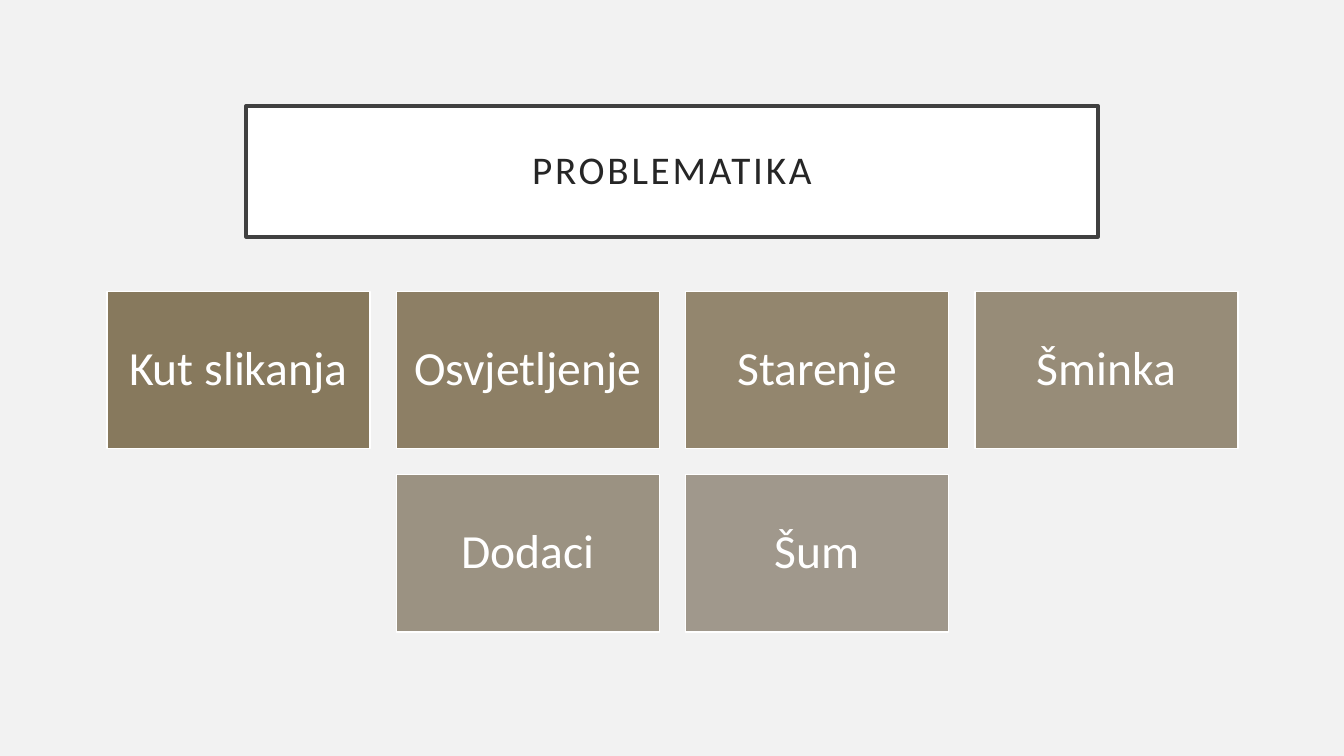
from pptx import Presentation
from pptx.dml.color import RGBColor
from pptx.enum.shapes import MSO_SHAPE
from pptx.enum.text import MSO_ANCHOR, PP_ALIGN
from pptx.util import Inches, Pt

BACKGROUND = RGBColor(0xF2, 0xF2, 0xF2)
WHITE = RGBColor(0xFF, 0xFF, 0xFF)
FRAME = RGBColor(0x40, 0x40, 0x40)
INK = RGBColor(0x26, 0x26, 0x26)
BROWNS = [
    RGBColor(0x87, 0x79, 0x5D),
    RGBColor(0x8D, 0x7F, 0x65),
    RGBColor(0x93, 0x86, 0x6E),
    RGBColor(0x97, 0x8C, 0x78),
    RGBColor(0x9B, 0x92, 0x82),
    RGBColor(0xA0, 0x98, 0x8C),
]
TOPICS = ["Kut slikanja", "Osvjetljenje", "Starenje", "Šminka", "Dodaci", "Šum"]
COLUMNS = 4


class SlideBuilder:
    font = "Calibri"
    grid_left, grid_top = 1.06, 2.89
    column_step, row_step = 2.87, 1.82
    tile_width, tile_height = 2.61, 1.56

    def __init__(self, prs):
        self.slide = prs.slides.add_slide(prs.slide_layouts[6])
        fill = self.slide.background.fill
        fill.solid()
        fill.fore_color.rgb = BACKGROUND

    def box(self, text, place, fill, line, line_width, size, color, inset, spacing=0):
        sp = self.slide.shapes.add_shape(MSO_SHAPE.RECTANGLE, *map(Inches, place))
        sp.shadow.inherit = False
        sp.fill.solid()
        sp.fill.fore_color.rgb = fill
        sp.line.color.rgb = line
        sp.line.width = Pt(line_width)
        tf = sp.text_frame
        margins = dict.fromkeys(
            ("margin_left", "margin_top", "margin_right", "margin_bottom"), Inches(inset)
        )
        frame_format = {"word_wrap": True, "vertical_anchor": MSO_ANCHOR.MIDDLE, **margins}
        p = tf.paragraphs[0]
        r = p.add_run()
        r.text = text
        r.font.color.rgb = color
        for target, values in (
            (tf, frame_format),
            (p, {"alignment": PP_ALIGN.CENTER, "line_spacing": 0.9}),
            (r.font, {"name": self.font, "size": Pt(size)}),
        ):
            for name, value in values.items():
                setattr(target, name, value)
        if spacing:
            r.font._element.set("spc", str(spacing * 100))

    def title(self, text):
        self.box(text, (2.44, 1.05, 8.45, 1.3), WHITE, FRAME, 2.5, 28, INK, 0.2, spacing=2)

    def tile(self, text, column, row, fill):
        place = (
            self.grid_left + column * self.column_step,
            self.grid_top + row * self.row_step,
            self.tile_width,
            self.tile_height,
        )
        self.box(text, place, fill, WHITE, 1, 34, WHITE, 0.14)

    def tiles(self, topics, fills):
        for i, (topic, fill) in enumerate(zip(topics, fills)):
            row, column = divmod(i, COLUMNS)
            in_row = min(COLUMNS, len(topics) - row * COLUMNS)
            self.tile(topic, column + (COLUMNS - in_row) / 2, row, fill)


def main():
    prs = Presentation()
    prs.slide_width = Inches(13.33)
    prs.slide_height = Inches(7.5)
    s = SlideBuilder(prs)
    s.title("PROBLEMATIKA")
    s.tiles(TOPICS, BROWNS)
    prs.save("out.pptx")


if __name__ == "__main__":
    main()
